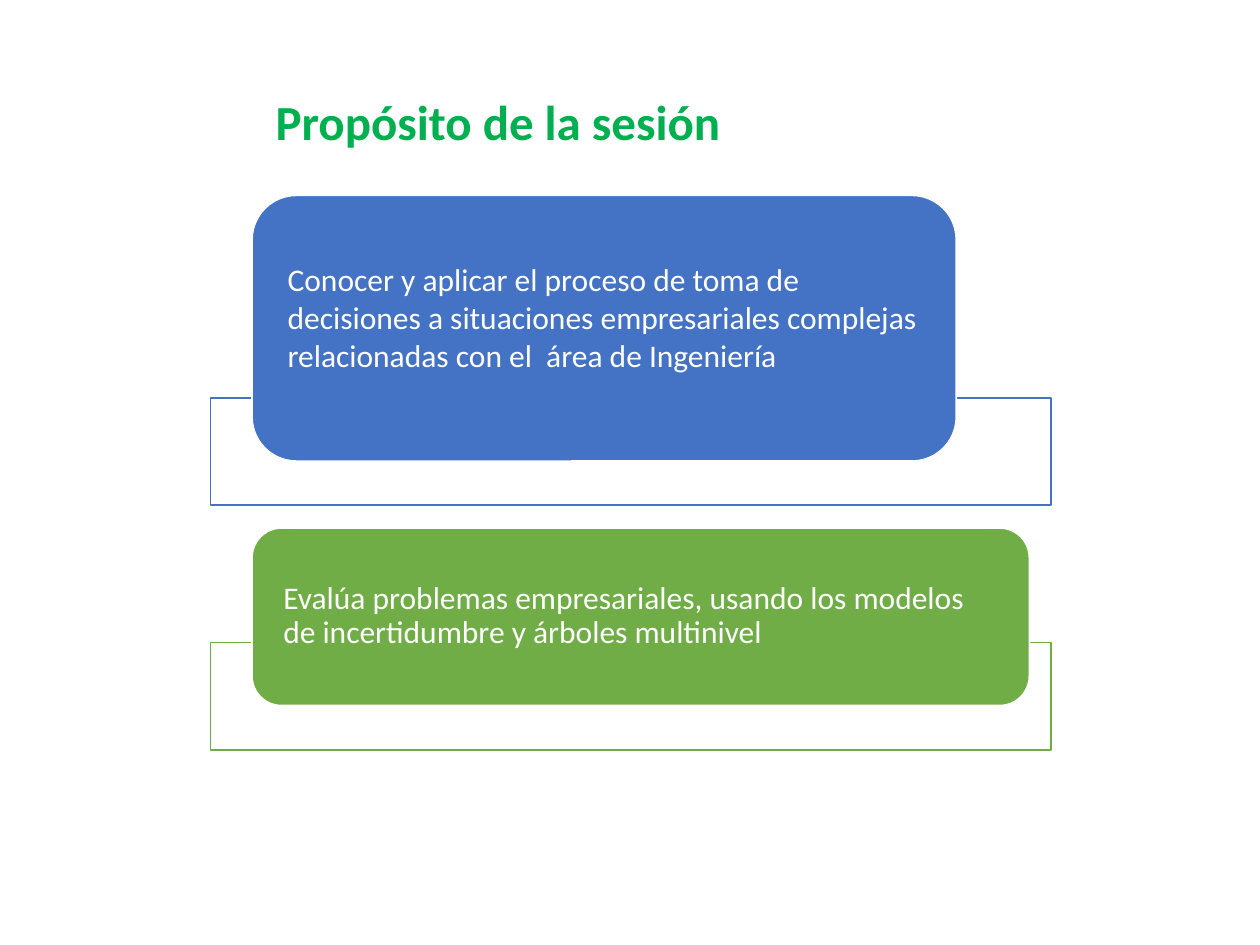
import pptx
import pptx.util
import pptx.dml.color
import pptx.enum.shapes
import pptx.enum.text

Inches, Pt = pptx.util.Inches, pptx.util.Pt
RGBColor = pptx.dml.color.RGBColor
MSO_SHAPE = pptx.enum.shapes.MSO_SHAPE
PP_ALIGN = pptx.enum.text.PP_ALIGN
MSO_ANCHOR = pptx.enum.text.MSO_ANCHOR

WHITE = RGBColor(0xFF, 0xFF, 0xFF)
BLUE = RGBColor(0x44, 0x72, 0xC4)
GREEN = RGBColor(0x70, 0xAD, 0x47)
TITLE_GREEN = RGBColor(0x00, 0xB0, 0x50)
FONT = "Calibri"

# Content: text, colour, card width and height, line spacing, bottom inset
TITLE = "Propósito de la sesión"
PURPOSES = [
    ("Conocer y aplicar el proceso de toma de decisiones a situaciones "
     "empresariales complejas relacionadas con el  área de Ingeniería",
     BLUE, 5.59, 2.11, 1.0, 0.18),
    ("Evalúa problemas empresariales, usando los modelos de incertidumbre "
     "y árboles multinivel",
     GREEN, 6.17, 1.41, 0.9, 0),
]

# Layout in inches: each card overlaps the top of its frame
FRAME_LEFT, FRAME_WIDTH, FRAME_HEIGHT = 1.67, 6.67, 0.85
FIRST_FRAME_TOP, FRAME_STEP = 3.16, 1.94
CARD_LEFT, OVERLAP, SIDE_INSET = 2, 0.5, 0.18


def add_box(slide, kind, left, top, width, height, fill, line):
    box = slide.shapes.add_shape(
        kind, Inches(left), Inches(top), Inches(width), Inches(height))
    box.shadow.inherit = False
    box.fill.solid()
    box.fill.fore_color.rgb = fill
    box.line.color.rgb = line
    box.line.width = Pt(1)
    return box


def write(frame, text, size, color, bold=False):
    frame.word_wrap = True
    paragraph = frame.paragraphs[0]
    paragraph.text = text
    paragraph.alignment = PP_ALIGN.LEFT
    paragraph.font.name = FONT
    paragraph.font.size = Pt(size)
    paragraph.font.bold = bold
    paragraph.font.color.rgb = color
    return paragraph


def main():
    deck = pptx.Presentation()
    deck.slide_width, deck.slide_height = Inches(10), Inches(7.5)
    slide = deck.slides.add_slide(deck.slide_layouts[6])

    # Purpose cards over their frames
    for row, (text, color, width, height, spacing, bottom) in enumerate(PURPOSES):
        frame_top = FIRST_FRAME_TOP + row * FRAME_STEP
        add_box(slide, MSO_SHAPE.RECTANGLE, FRAME_LEFT, frame_top,
                FRAME_WIDTH, FRAME_HEIGHT, WHITE, color)
        card = add_box(slide, MSO_SHAPE.ROUNDED_RECTANGLE, CARD_LEFT,
                       frame_top + OVERLAP - height, width, height, color, WHITE)
        body = card.text_frame
        body.vertical_anchor = MSO_ANCHOR.MIDDLE
        body.margin_left = body.margin_right = Inches(SIDE_INSET)
        body.margin_top, body.margin_bottom = 0, Inches(bottom)
        write(body, text, 18, WHITE).line_spacing = spacing

    # Title
    title = slide.shapes.add_textbox(
        Inches(2.09), Inches(0.68), Inches(4.17), Inches(0.57))
    write(title.text_frame, TITLE, 28, TITLE_GREEN, bold=True)

    deck.save("out.pptx")


if __name__ == "__main__":
    main()
